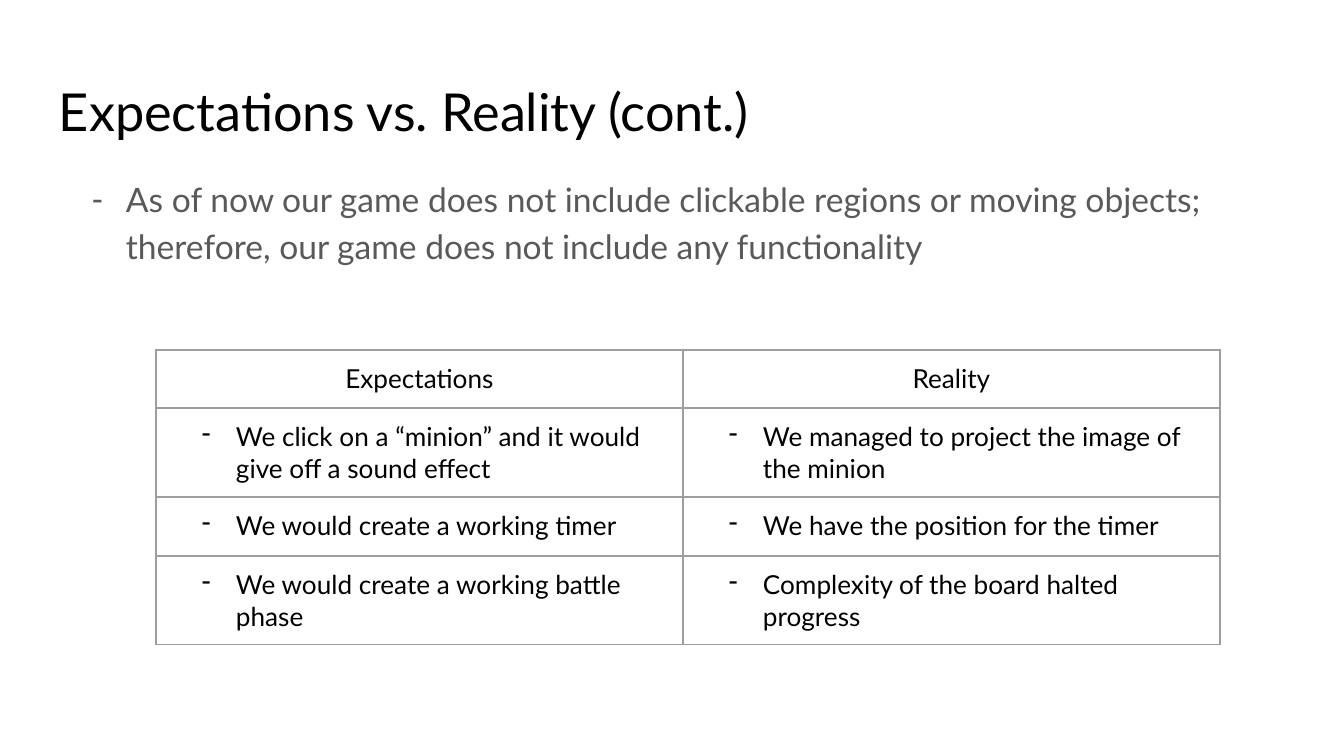
from lxml.etree import SubElement
from pptx import Presentation
from pptx.dml.color import RGBColor
from pptx.enum.text import MSO_ANCHOR, MSO_AUTO_SIZE, PP_ALIGN
from pptx.oxml.ns import qn
from pptx.util import Pt

EMU_PER_PX = 914400 / 134.4
FONT = "Lato"
BLACK = RGBColor(0x00, 0x00, 0x00)
GRAY = RGBColor(0x59, 0x59, 0x59)
BORDER = RGBColor(0x9E, 0x9E, 0x9E)
INSET = 13
COLUMN_WIDTHS = (527, 537)
ROW_HEIGHTS = (58, 89, 59, 89)
ROWS = (
    ("Expectations", "Reality"),
    ("We click on a “minion” and it would give off a sound effect",
     "We managed to project the image of the minion"),
    ("We would create a working timer", "We have the position for the timer"),
    ("We would create a working battle phase",
     "Complexity of the board halted progress"),
)


def px(length):
    """Turn a length in px into EMU."""
    return round(length * EMU_PER_PX)


def format_paragraph(paragraph, size, color, alignment=PP_ALIGN.LEFT):
    """Set the alignment of a paragraph and the font of its runs."""
    paragraph.alignment = alignment
    for run in paragraph.runs:
        run.font.name = FONT
        run.font.size = Pt(size)
        run.font.color.rgb = color
        run.font.bold = False


def add_dash(paragraph, color):
    """Give a paragraph a hanging dash as its bullet."""
    properties = paragraph._p.get_or_add_pPr()
    properties.set("marL", str(px(67)))
    properties.set("indent", str(-px(34)))
    bullet_color = SubElement(properties, qn("a:buClr"))
    SubElement(bullet_color, qn("a:srgbClr"), val=str(color))
    SubElement(properties, qn("a:buChar"), char="-")


def set_insets(holder):
    """Give a text frame or a cell equal margins on all sides."""
    holder.margin_left = holder.margin_right = px(INSET)
    holder.margin_top = holder.margin_bottom = px(INSET)


def fill_placeholder(shape, text, top, height):
    """Place a placeholder, write its text and return the paragraph."""
    shape.left, shape.top = px(46), px(top)
    shape.width, shape.height = px(1253), px(height)
    frame = shape.text_frame
    frame.text = text
    frame.word_wrap = True
    frame.auto_size = MSO_AUTO_SIZE.NONE
    frame.vertical_anchor = MSO_ANCHOR.TOP
    set_insets(frame)
    return frame.paragraphs[0]


def add_borders(cell):
    """Draw a thin line on every side of a cell."""
    properties = cell._tc.get_or_add_tcPr()
    for side in ("a:lnL", "a:lnR", "a:lnT", "a:lnB"):
        line = SubElement(properties, qn(side), w=str(Pt(0.75)))
        fill = SubElement(line, qn("a:solidFill"))
        SubElement(fill, qn("a:srgbClr"), val=str(BORDER))


def fill_cell(cell, text, is_header):
    """Write and format one table cell."""
    cell.text = text
    set_insets(cell)
    cell.vertical_anchor = MSO_ANCHOR.TOP
    add_borders(cell)
    cell.fill.background()
    paragraph = cell.text_frame.paragraphs[0]
    alignment = PP_ALIGN.CENTER if is_header else PP_ALIGN.LEFT
    format_paragraph(paragraph, 14, BLACK, alignment)
    if not is_header:
        add_dash(paragraph, BLACK)


def add_comparison_table(slide):
    """Add the table that compares expectations with reality."""
    table = slide.shapes.add_table(
        len(ROWS), len(COLUMN_WIDTHS), px(156), px(350),
        px(sum(COLUMN_WIDTHS)), px(sum(ROW_HEIGHTS))).table
    table.first_row = table.horz_banding = False
    for column, width in zip(table.columns, COLUMN_WIDTHS):
        column.width = px(width)
    for row_index, (row, height) in enumerate(zip(table.rows, ROW_HEIGHTS)):
        row.height = px(height)
        for cell, text in zip(row.cells, ROWS[row_index]):
            fill_cell(cell, text, row_index == 0)


def main():
    """Build the slide and save it."""
    presentation = Presentation()
    presentation.slide_width, presentation.slide_height = px(1344), px(756)
    slide = presentation.slides.add_slide(presentation.slide_layouts[1])
    title, body = slide.placeholders
    heading = fill_placeholder(title, "Expectations vs. Reality (cont.)", 66, 84)
    format_paragraph(heading, 28, BLACK)
    statement = fill_placeholder(
        body,
        "As of now our game does not include clickable regions or moving "
        "objects; therefore, our game does not include any functionality",
        160, 502)
    format_paragraph(statement, 18, GRAY)
    statement.line_spacing = 1.15
    statement.space_before = Pt(0)
    statement.space_after = Pt(16)
    add_dash(statement, GRAY)
    add_comparison_table(slide)
    presentation.save("out.pptx")


if __name__ == "__main__":
    main()
